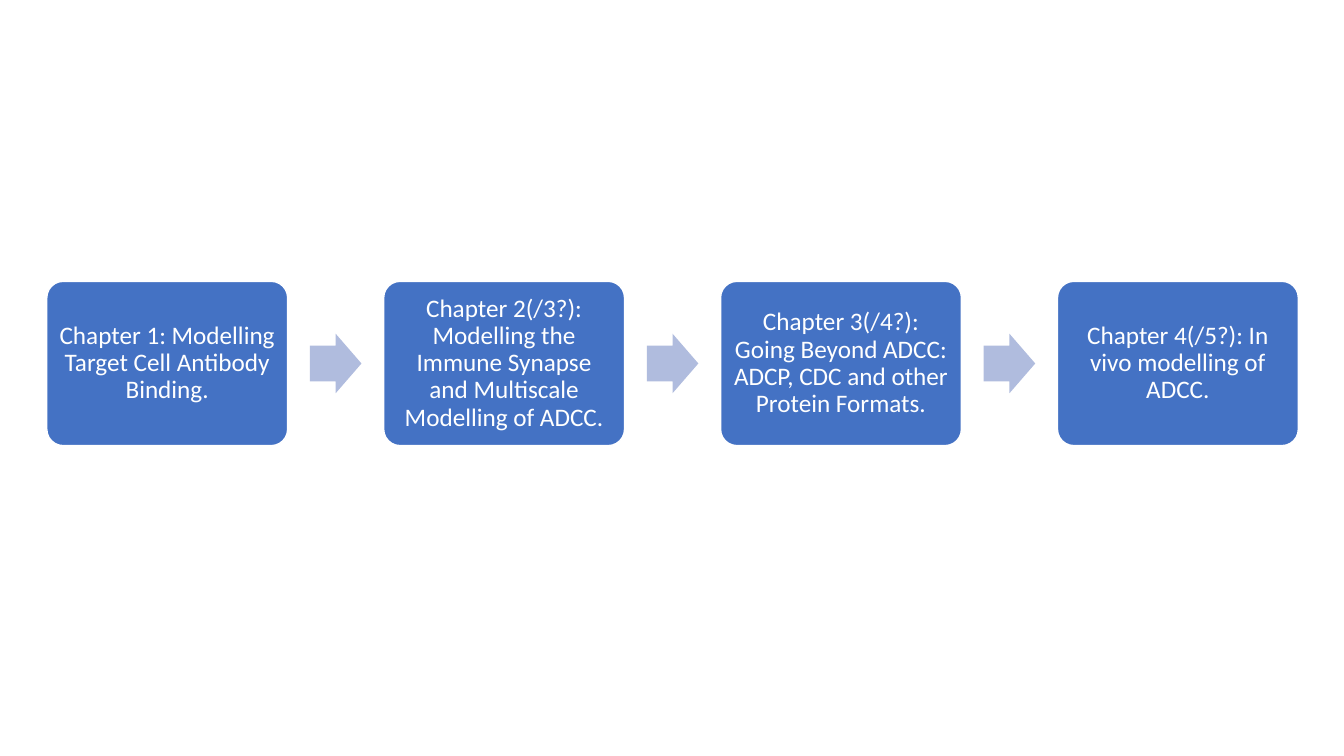
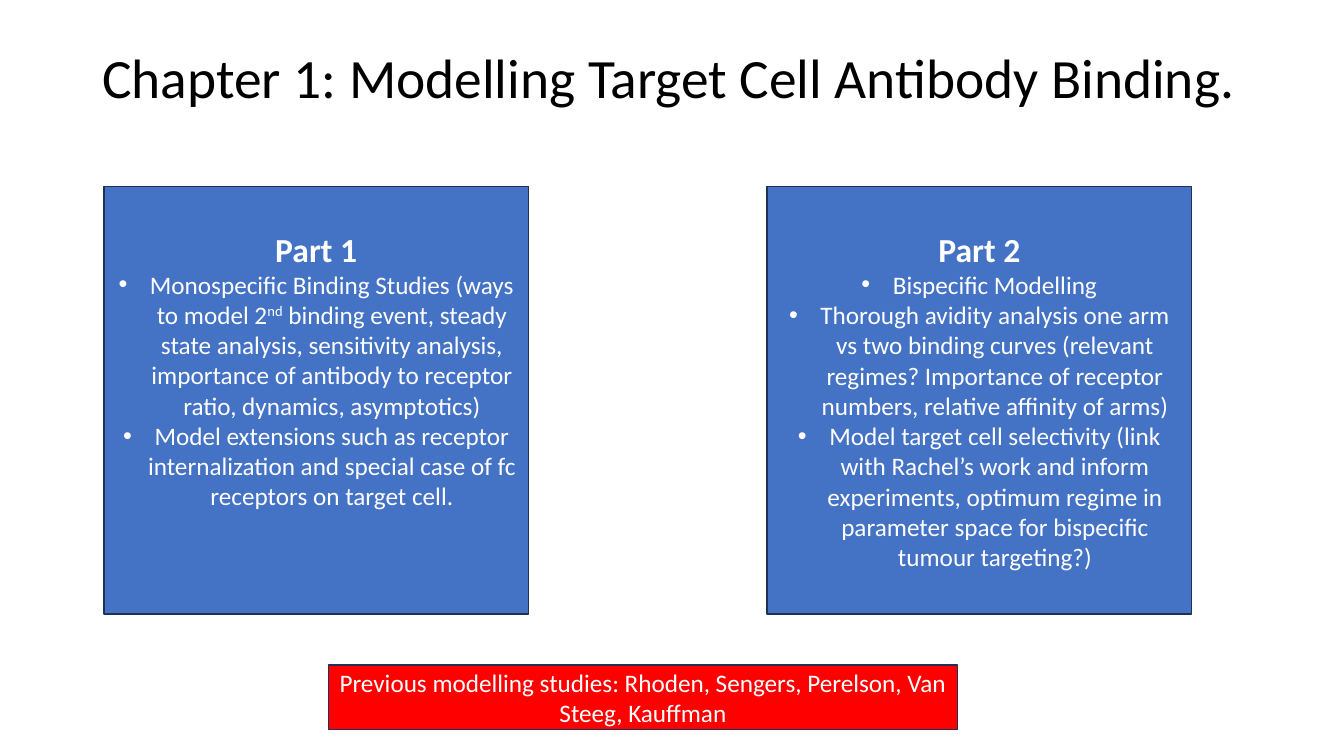
import pptx
import pptx.dml.color
import pptx.enum.shapes
import pptx.enum.text
import pptx.util
import lxml.etree

Cm, Pt = pptx.util.Cm, pptx.util.Pt
SHAPE = pptx.enum.shapes.MSO_SHAPE
ALIGN = pptx.enum.text.PP_ALIGN
MIDDLE = pptx.enum.text.MSO_ANCHOR.MIDDLE

BLUE, PALE, RED = "4472C4", "B0BCDE", "FF0000"
WHITE, BLACK, OUTLINE = "FFFFFF", "000000", "1E3256"


def color(value):
    return pptx.dml.color.RGBColor.from_string(value)


def write(paragraph, text, size=18, ink=WHITE, bold=False, raised=False):
    run = paragraph.add_run()
    run.text = text
    run.font.name = "Calibri"
    run.font.size = Pt(size)
    run.font.bold = bold
    run.font.color.rgb = color(ink)
    if raised:
        run._r.get_or_add_rPr().set("baseline", "30000")


class Deck:
    def __init__(self):
        self.show = pptx.Presentation()
        self.show.slide_width, self.show.slide_height = Cm(33.87), Cm(19.05)
        self.slide = None

    def new_slide(self):
        self.slide = self.show.slides.add_slide(self.show.slide_layouts[6])

    def frame(self, holder, inset=0.25, bottom=0.13):
        body = holder.text_frame
        body.word_wrap = True
        body.vertical_anchor = MIDDLE
        body.margin_left = body.margin_right = Cm(inset)
        body.margin_top, body.margin_bottom = Cm(min(inset, 0.13)), Cm(bottom)
        return body

    def title(self, text):
        box = self.slide.shapes.add_textbox(Cm(2.33), Cm(1.02), Cm(29.21), Cm(3.68))
        # The deep bottom margin lifts the single line
        heading = self.frame(box, bottom=1.81).paragraphs[0]
        heading.line_spacing = 0.9
        write(heading, text, size=39.6, ink=BLACK)

    def block(self, kind, left, top, width, height, fill, line=None, adjust=()):
        shape = self.slide.shapes.add_shape(kind, Cm(left), Cm(top), Cm(width), Cm(height))
        shape.shadow.inherit = False
        shape.fill.solid()
        shape.fill.fore_color.rgb = color(fill)
        if line:
            shape.line.color.rgb = color(line)
            shape.line.width = Pt(1)
        else:
            shape.line.fill.background()
        for index, value in enumerate(adjust):
            shape.adjustments[index] = value
        return shape

    def chapter(self, text, left, top, width, height):
        card = self.block(SHAPE.ROUNDED_RECTANGLE, left, top, width, height,
                          BLUE, WHITE, [0.1])
        label = self.frame(card, inset=0.18, bottom=0.13).paragraphs[0]
        label.alignment = ALIGN.CENTER
        label.line_spacing = 0.9
        write(label, text)

    def arrow(self, left, top, width, height):
        self.block(SHAPE.RIGHT_ARROW, left, top, width, height, PALE, adjust=[0.6, 0.5])

    def bullet(self, body, pieces):
        item = body.add_paragraph()
        item.alignment = ALIGN.CENTER
        properties = item._p.get_or_add_pPr()
        properties.set("marL", str(Cm(0.79)))
        properties.set("indent", str(Cm(-0.79)))
        namespace = "{http://schemas.openxmlformats.org/drawingml/2006/main}"
        lxml.etree.SubElement(properties, namespace + "buFont", typeface="Arial")
        lxml.etree.SubElement(properties, namespace + "buChar", char="•")
        for text, style in pieces:
            write(item, text, **style)

    def panel(self, heading, items, left, bottom):
        panel = self.block(SHAPE.RECTANGLE, left, 4.7, 10.7, 10.77, BLUE, OUTLINE)
        body = self.frame(panel, bottom=bottom)
        body.paragraphs[0].alignment = ALIGN.CENTER
        write(body.paragraphs[0], heading, size=24, bold=True)
        for pieces in items:
            self.bullet(body, pieces)

    def banner(self, text):
        strip = self.block(SHAPE.RECTANGLE, 8.28, 16.76, 15.85, 1.63, RED, OUTLINE)
        line = self.frame(strip).paragraphs[0]
        line.alignment = ALIGN.CENTER
        write(line, text)


deck = Deck()

# Chapter overview: equal cards with an arrow in each gap
opening = "Chapter 1: Modelling Target Cell Antibody Binding."
chapters = [
    opening,
    "Chapter 2(/3?): Modelling the Immune Synapse and Multiscale Modelling of ADCC.",
    "Chapter 3(/4?): Going Beyond ADCC: ADCP, CDC and other Protein Formats.",
    "Chapter 4(/5?): In vivo modelling of ADCC.",
]
FIRST, STEP, CARD_WIDTH, CARD_HEIGHT, CARD_TOP = 1.18, 8.49, 6.07, 4.14, 7.09
ARROW_WIDTH, ARROW_HEIGHT = 1.3, 1.5
deck.new_slide()
for number, chapter in enumerate(chapters):
    left = FIRST + number * STEP
    if number:
        deck.arrow(left - (STEP - CARD_WIDTH + ARROW_WIDTH) / 2,
                   CARD_TOP + (CARD_HEIGHT - ARROW_HEIGHT) / 2,
                   ARROW_WIDTH, ARROW_HEIGHT)
    deck.chapter(chapter, left, CARD_TOP, CARD_WIDTH, CARD_HEIGHT)

# Chapter 1: two parts and earlier work
deck.new_slide()
deck.title(opening)
monospecific = [
    [("Monospecific Binding Studies (ways to model 2", {}),
     ("nd", {"raised": True}),
     (" binding event, steady state analysis, sensitivity analysis, importance of "
      "antibody to receptor ratio, dynamics, asymptotics)", {})],
    [("Model extensions such as receptor internalization and special case of fc "
      "receptors on target cell.", {})],
]
bispecific = [
    [("Bispecific Modelling", {})],
    [("Thorough avidity analysis one arm vs two binding curves (relevant regimes? "
      "Importance of receptor numbers, relative affinity of arms)", {})],
    [("Model target cell selectivity (link with Rachel’s work and inform experiments, "
      "optimum regime in parameter space for bispecific tumour targeting?)", {})],
]
# The larger bottom margin lines up both headings
deck.panel("Part 1", monospecific, left=2.62, bottom=1.66)
deck.panel("Part 2", bispecific, left=19.33, bottom=0.13)
deck.banner("Previous modelling studies: Rhoden, Sengers, Perelson, Van Steeg, Kauffman")

deck.show.save("out.pptx")
